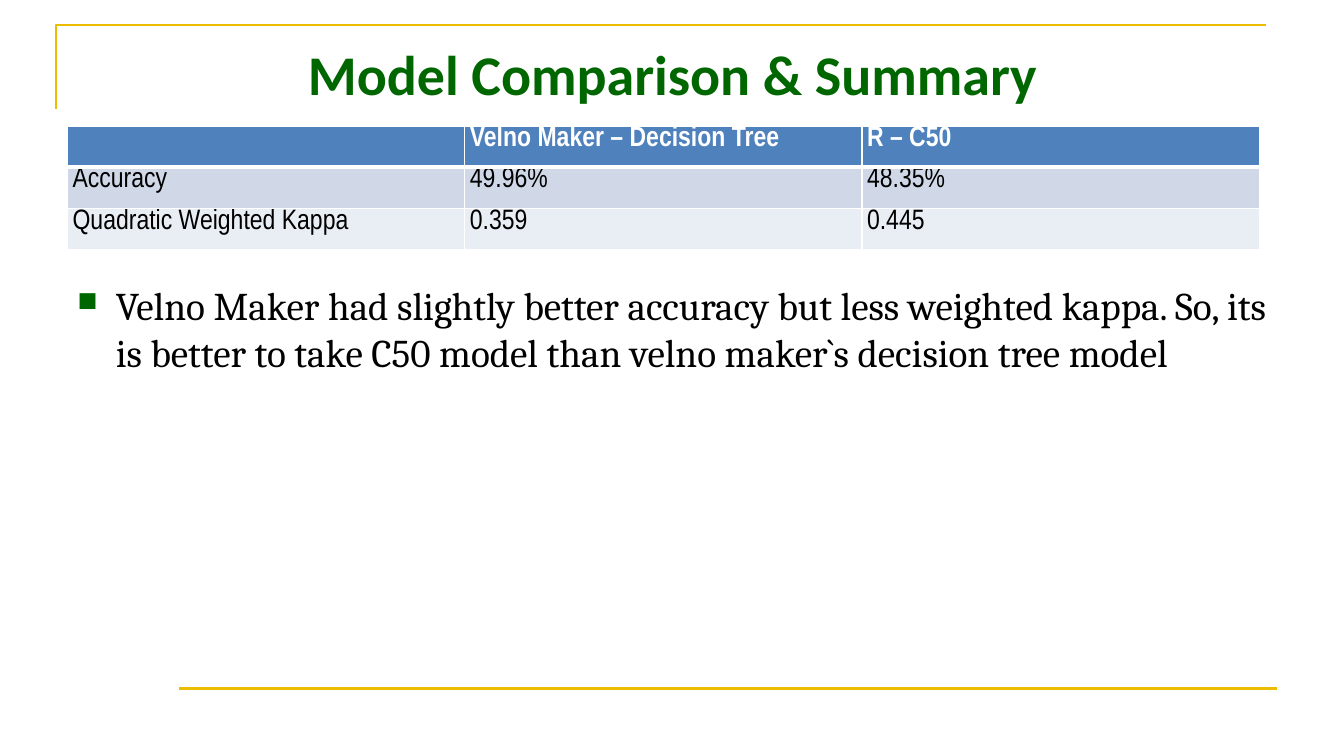
from lxml import etree
from pptx import Presentation, util as u
from pptx.dml.color import RGBColor
from pptx.enum import shapes, text
from pptx.oxml import ns

WIDTH, HEIGHT = u.Inches(13.33), u.Inches(7.5)
WHITE = RGBColor(0xFF, 0xFF, 0xFF)
BLACK = RGBColor(0, 0, 0)
GREEN = RGBColor(0, 0x66, 0)
GOLD = RGBColor(0xEA, 0xBD, 0)
HEADER_BLUE = RGBColor(0x4F, 0x81, 0xBD)
BANDS = [RGBColor(0xD0, 0xD8, 0xE8), RGBColor(0xE9, 0xED, 0xF4)]

SCORES = [
    ["", "Velno Maker – Decision Tree", "R – C50 "],
    ["Accuracy", "49.96%", "48.35%"],
    ["Quadratic Weighted Kappa", "0.359", "0.445"],
]
CONCLUSION = ("Velno Maker had slightly better accuracy but less weighted kappa. "
              "So, its is better to take C50 model than velno maker`s decision tree model")


def box(left, top, width, height):
    return [u.Inches(side) for side in (left, top, width, height)]


def add_run(paragraph, wording, font, size, color, bold=False):
    run = paragraph.add_run()
    run.text = wording
    run.font.name, run.font.size, run.font.bold = font, u.Pt(size), bold
    run.font.color.rgb = color


def add_text_frame(slide, area, anchor):
    frame = slide.shapes.add_textbox(*area).text_frame
    frame.word_wrap = True
    frame.vertical_anchor = anchor
    return frame


def add_frame_lines(slide, area):
    left, top, width, height = area
    # Corner line around the title
    outline = slide.shapes.build_freeform(left, top + u.Inches(0.83))
    outline.add_line_segments([(left, top), (left + u.Inches(12), top)], close=False)
    corner = outline.convert_to_shape()
    corner.fill.background()
    corner.shadow.inherit = False
    # Footer line
    footer = slide.shapes.add_connector(
        shapes.MSO_CONNECTOR.STRAIGHT, left + u.Inches(1.22), top + height,
        left + width, top + height)
    etree.SubElement(footer._element.spPr, ns.qn("a:effectLst"))
    for rule in (corner, footer):
        rule.line.color.rgb = GOLD
        rule.line.width = u.Pt(1.5)


def add_title(slide, area):
    heading = add_text_frame(slide, area, text.MSO_ANCHOR.MIDDLE).paragraphs[0]
    heading.alignment = text.PP_ALIGN.CENTER
    add_run(heading, "Model Comparison & Summary", "Calibri", 40, GREEN, True)


def set_borders(cell, top_width, bottom_width):
    properties = cell._tc.get_or_add_tcPr()
    widths = {"lnL": 1, "lnR": 1, "lnT": top_width, "lnB": bottom_width}
    for position, (side, width) in enumerate(widths.items()):
        border = etree.Element(ns.qn("a:" + side), w=str(u.Pt(width)))
        fill = etree.SubElement(border, ns.qn("a:solidFill"))
        etree.SubElement(fill, ns.qn("a:srgbClr"), val=str(WHITE))
        properties.insert(position, border)


def add_score_table(slide, area):
    left, top, width, height = area
    scores = slide.shapes.add_table(len(SCORES), len(SCORES[0]), *area).table
    for column in scores.columns:
        column.width = width // len(SCORES[0])
    for r, row in enumerate(SCORES):
        scores.rows[r].height = height // len(SCORES)
        is_header = r == 0
        for c, wording in enumerate(row):
            cell = scores.cell(r, c)
            cell.margin_left = cell.margin_right = u.Inches(0.05)
            cell.margin_top = cell.margin_bottom = 0
            cell.fill.solid()
            cell.fill.fore_color.rgb = HEADER_BLUE if is_header else BANDS[r - 1]
            set_borders(cell, 3 if r == 1 else 1, 3 if is_header else 1)
            paragraph = cell.text_frame.paragraphs[0]
            if wording:
                add_run(paragraph, wording, "Arial Narrow", 20,
                        WHITE if is_header else BLACK, is_header)


def add_conclusion(slide, area):
    point = add_text_frame(slide, area, text.MSO_ANCHOR.TOP).paragraphs[0]
    add_run(point, CONCLUSION, "Cambria", 28, BLACK)
    # Green square bullet with a hanging indent
    properties = point._p.get_or_add_pPr()
    indent = u.Inches(0.38)
    properties.set("marL", str(indent))
    properties.set("indent", str(-indent))
    color = etree.SubElement(properties, ns.qn("a:buClr"))
    etree.SubElement(color, ns.qn("a:srgbClr"), val=str(GREEN))
    etree.SubElement(properties, ns.qn("a:buSzPct"), val="70000")
    etree.SubElement(properties, ns.qn("a:buChar"), char="■")


def main():
    deck = Presentation()
    deck.slide_width, deck.slide_height = WIDTH, HEIGHT
    slide = deck.slides.add_slide(deck.slide_layouts[6])
    add_frame_lines(slide, box(0.56, 0.25, 12.11, 6.58))
    add_title(slide, box(0.67, 0.3, 12, 0.86))
    add_score_table(slide, box(0.67, 1.25, 11.82, 1.23))
    add_conclusion(slide, box(0.67, 2.74, 12, 3.79))
    deck.save("out.pptx")


if __name__ == "__main__":
    main()
